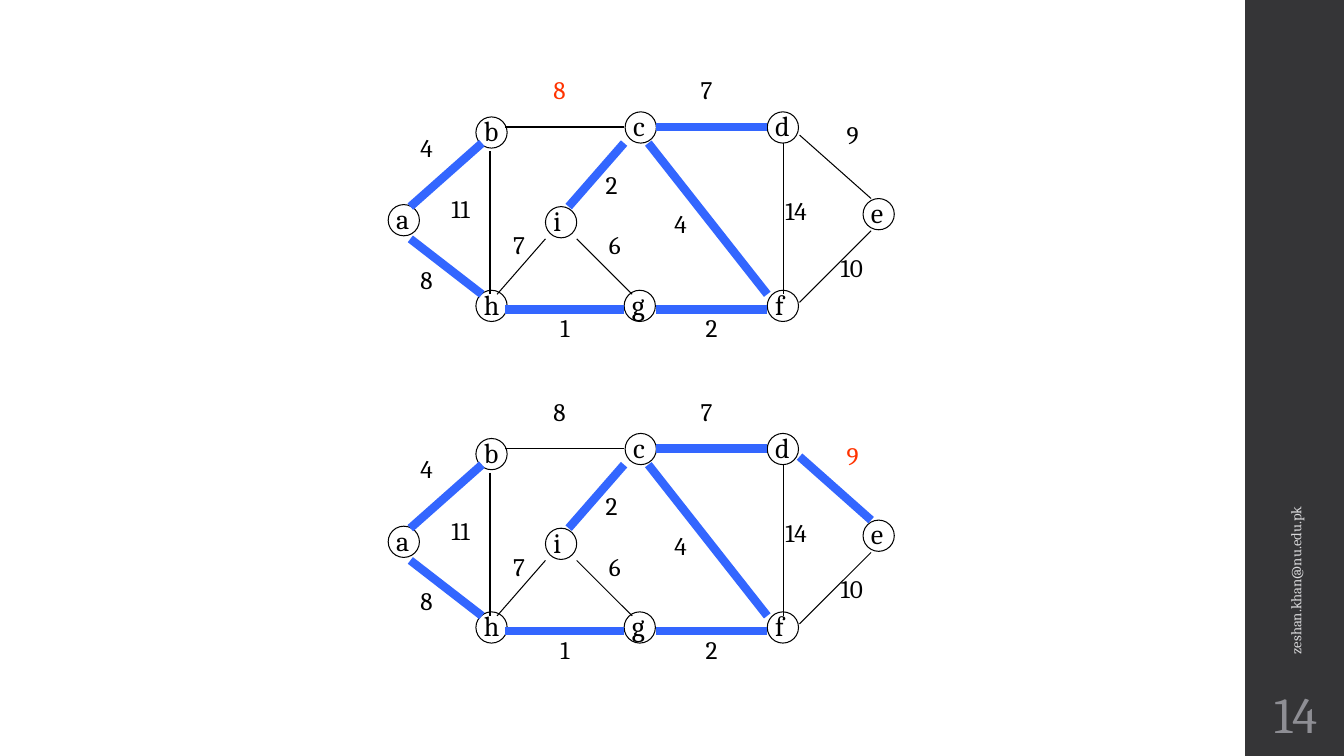
from pptx import Presentation
from pptx import util as u
from pptx.dml import color
from pptx.enum import shapes, text
from pptx.oxml import ns
from lxml import etree

BLACK, BLUE, RED = "000000", "3366FF", "FF3300"
NODE_SIZE = 0.31
GRAPH_STEP = 3.19

# Node: left and top of the circle, width of the letter box
NODES = {
    "a": (3.85, 2.03, 0.34), "b": (4.72, 1.16, 0.35), "h": (4.72, 2.88, 0.35),
    "c": (6.2, 1.11, 0.32), "d": (7.61, 1.11, 0.35), "e": (8.56, 1.97, 0.34),
    "f": (7.61, 2.88, 0.29), "g": (6.19, 2.88, 0.34), "i": (5.41, 2.05, 0.32),
}

# Edge: line from, line to, weight, left and top of the weight
EDGES = {
    "ab": ((4.07, 2.05), (4.78, 1.42), "4", (4.07, 1.26)),
    "ah": ((4.07, 2.37), (4.78, 2.92), "8", (4.07, 2.57)),
    "bh": ((4.86, 1.5), (4.86, 2.92), "11", (4.38, 1.87)),
    "bc": ((5.01, 1.26), (6.19, 1.26), "8", (5.39, 0.69)),
    "hg": ((5.01, 3.07), (6.19, 3.07), "1", (5.46, 3.05)),
    "gf": ((6.51, 3.07), (7.61, 3.07), "2", (6.9, 3.05)),
    "cf": ((6.43, 1.42), (7.61, 2.92), "4", (6.59, 2.02)),
    "cd": ((6.51, 1.26), (7.61, 1.26), "7", (6.85, 0.69)),
    "df": ((7.77, 1.42), (7.77, 2.92), "14", (7.69, 1.89)),
    "de": ((7.93, 1.34), (8.64, 1.97), "9", (8.3, 1.13)),
    "fe": ((7.93, 3), (8.64, 2.29), "10", (8.24, 2.45)),
    "ig": ((5.72, 2.37), (6.27, 2.92), "6", (5.94, 2.23)),
    "hi": ((4.93, 2.92), (5.41, 2.37), "7", (4.99, 2.23)),
    "ic": ((5.64, 2.05), (6.19, 1.42), "2", (5.91, 1.63)),
}
TREE = {"ab", "ah", "hg", "gf", "cf", "cd", "ic"}


def rgb(value):
    return color.RGBColor.from_string(value)


def write(tf, words, size=18, colour=BLACK, font="Cambria", align=None):
    p = tf.paragraphs[0]
    p.alignment = align
    r = p.add_run()
    r.text = words
    r.font.name, r.font.size = font, u.Pt(size)
    r.font.color.rgb = rgb(colour)


class Slide:
    def __init__(self, prs):
        self.s = prs.slides.add_slide(prs.slide_layouts[6])
        self.shapes = self.s.shapes

    def box(self, words, x, y, w, h, wrap=False, anchor=text.MSO_ANCHOR.TOP,
            inset=None, rotation=0, **style):
        sp = self.shapes.add_textbox(*map(u.Inches, (x, y, w, h)))
        sp.rotation = rotation
        tf = sp.text_frame
        tf.word_wrap, tf.vertical_anchor = wrap, anchor
        if inset is not None:
            tf.margin_left = tf.margin_right = u.Inches(inset)
            tf.margin_top = tf.margin_bottom = u.Inches(inset)
        write(tf, words, **style)

    def shape(self, kind, x, y, w, h, fill=None, line=None):
        sp = self.shapes.add_shape(kind, *map(u.Inches, (x, y, w, h)))
        sp.shadow.inherit = False
        if fill:
            sp.fill.solid()
            sp.fill.fore_color.rgb = rgb(fill)
        else:
            sp.fill.background()
        if line:
            sp.line.color.rgb = rgb(line)
            sp.line.width = u.Pt(0.75)
        else:
            sp.line.fill.background()

    def line(self, start, end, colour, width):
        sp = self.shapes.add_connector(
            shapes.MSO_CONNECTOR.STRAIGHT, *map(u.Inches, start + end))
        sp.line.color.rgb = rgb(colour)
        sp.line.width = u.Pt(width)
        etree.SubElement(sp._element.spPr, ns.qn("a:effectLst"))

    def graph(self, dy, tree, current):
        self.shapes = self.s.shapes.add_group_shape().shapes
        # Nodes
        for name, (x, y, w) in NODES.items():
            self.box(name, x - 0.02, y + dy - 0.08, w, 0.44, size=20)
            self.shape(shapes.MSO_SHAPE.OVAL, x, y + dy, NODE_SIZE, NODE_SIZE,
                       line=BLACK)
        # Edges, thick when in the tree
        for name, ((x1, y1), (x2, y2), _, _) in EDGES.items():
            colour, width = (BLUE, 6) if name in tree else (BLACK, 0.75)
            self.line((x1, y1 + dy), (x2, y2 + dy), colour, width)
        # Weights
        for name, (_, _, weight, (x, y)) in EDGES.items():
            self.box(weight, x, y + dy, 0.33 if len(weight) == 1 else 0.46, 0.4,
                     colour=RED if name == current else BLACK)
        self.shapes = self.s.shapes


def main():
    prs = Presentation()
    prs.slide_width, prs.slide_height = u.Inches(13.33), u.Inches(7.5)
    slide = Slide(prs)

    # Side band
    slide.shape(shapes.MSO_SHAPE.RECTANGLE, 12.35, 0, 0.98, 7.5, fill="353537")

    # Two steps of the spanning tree
    slide.graph(0, TREE, "bc")
    slide.graph(GRAPH_STEP, TREE | {"de"}, "de")

    # Footer and slide number
    middle = text.MSO_ANCHOR.MIDDLE
    slide.box("zeshan.khan@nu.edu.pk", 10.89, 4.43, 3.92, 0.4, wrap=True,
              anchor=middle, rotation=270, size=10.5, colour="D9D9DB")
    slide.box("14", 12.35, 6.75, 1, 0.65, wrap=True, anchor=middle, inset=0.05,
              size=36, colour="8E8E94", align=text.PP_ALIGN.CENTER)

    prs.save("out.pptx")


if __name__ == "__main__":
    main()
